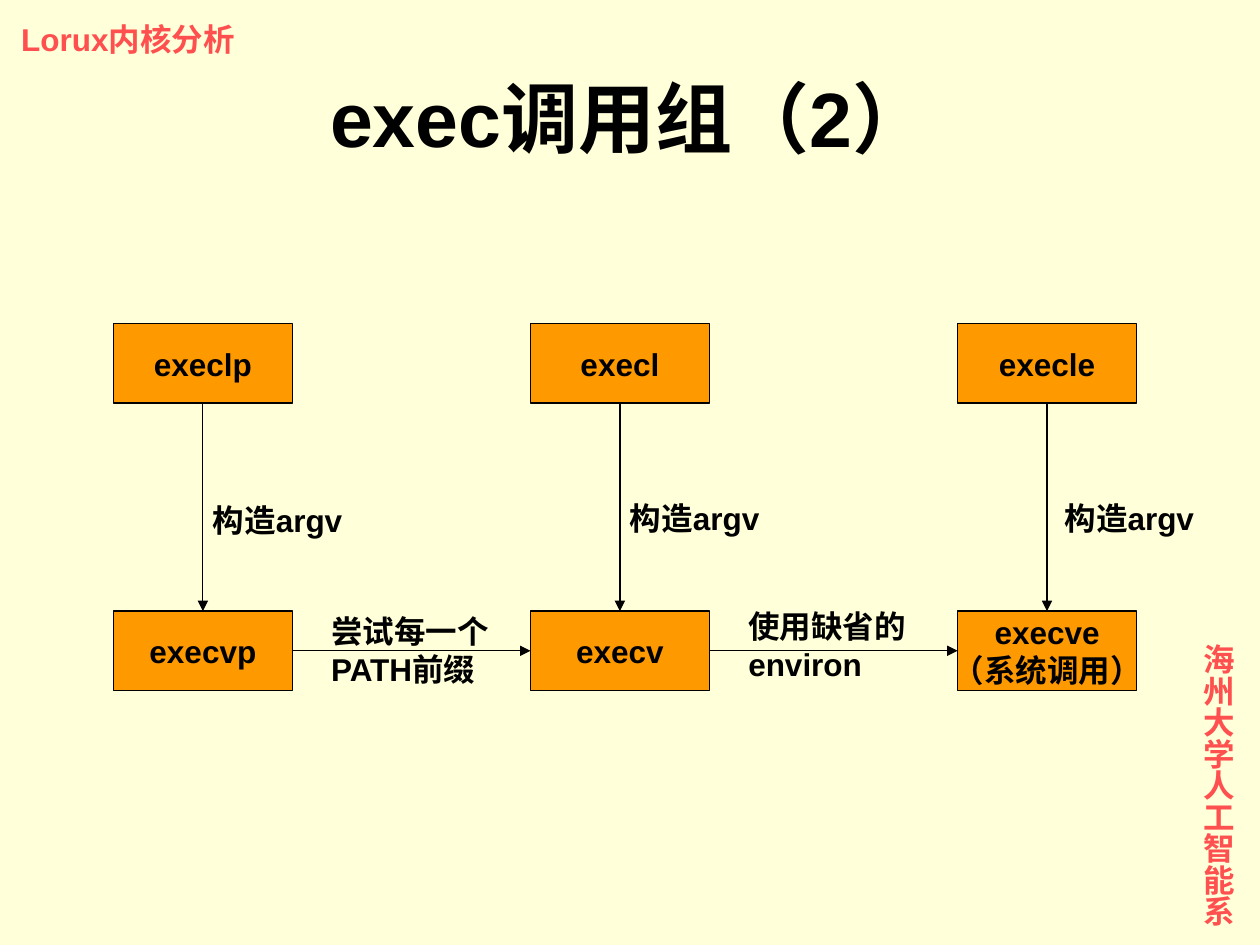
from dataclasses import dataclass

from lxml.etree import SubElement
from pptx import Presentation
from pptx.dml.color import RGBColor as Rgb
from pptx.enum.shapes import MSO_CONNECTOR as Conn, MSO_SHAPE as Form
from pptx.enum.text import MSO_ANCHOR as Anchor, PP_ALIGN as Align
from pptx.oxml.ns import qn
from pptx.util import Inches, Pt

HUE = {"back": "FFFFD9", "box": "FF9900", "ink": "000000", "mark": "FF5050"}
FONT = "Arial"
COLS = (0.9, 4.21, 7.6)  # left edges of the box columns
ROWS = (2.57, 4.85)  # top edges of the box rows
WIDE, HIGH = 1.42, 0.63
TOP, LEFT, BOTTOM, RIGHT = range(4)


@dataclass
class Node:
    text: str
    col: int
    row: int


@dataclass
class Link:
    start: str
    end: str
    down: bool


@dataclass
class Label:
    text: str
    col: int  # column whose left edge the offset counts from
    dx: float
    top: float
    wide: float
    high: float = 0.4
    hue: str = "ink"


NODES = (
    Node("execlp", 0, 0), Node("execl", 1, 0), Node("execle", 2, 0),
    Node("execvp", 0, 1), Node("execv", 1, 1), Node("execve\n（系统调用）", 2, 1),
)
LINKS = (
    Link("execlp", "execvp", True), Link("execl", "execv", True),
    Link("execle", "execve", True),
    Link("execvp", "execv", False), Link("execv", "execve", False),
)
LABELS = (
    Label("构造argv", 0, 0.69, 3.93, 1.29),
    Label("构造argv", 1, 0.69, 3.91, 1.29),
    Label("构造argv", 2, 0.75, 3.91, 1.29),
    Label("尝试每一个\nPATH前缀", 0, 1.63, 4.81, 1.45, 0.7),
    Label("使用缺省的\nenviron", 1, 1.63, 4.77, 1.45, 0.7),
)


def color(name: str) -> Rgb:
    return Rgb.from_string(HUE[name])


def write(shape, text: str, hue: str = "ink", size: int = 18, align=Align.LEFT) -> None:
    frame = shape.text_frame
    frame.text = text
    for par in frame.paragraphs:
        par.alignment = align
        for run in par.runs:
            font = run.font
            font.name, font.size, font.bold = FONT, Pt(size), True
            font.color.rgb = color(hue)


def add_text(slide, text: str, x: float, y: float, w: float, h: float, hue: str = "ink"):
    box = slide.shapes.add_textbox(Inches(x), Inches(y), Inches(w), Inches(h))
    box.text_frame.word_wrap = False
    write(box, text, hue)
    return box


def add_node(slide, node: Node):
    box = slide.shapes.add_shape(
        Form.RECTANGLE, Inches(COLS[node.col]), Inches(ROWS[node.row]),
        Inches(WIDE), Inches(HIGH))
    box.shadow.inherit = False
    box.fill.solid()
    box.fill.fore_color.rgb = color("box")
    box.line.color.rgb = color("ink")
    box.line.width = Pt(0.75)
    box.text_frame.word_wrap = False
    box.text_frame.vertical_anchor = Anchor.MIDDLE
    write(box, node.text, align=Align.CENTER)
    return box


def add_link(slide, link: Link, boxes: dict) -> None:
    line = slide.shapes.add_connector(Conn.STRAIGHT, 0, 0, 0, 0)
    line.begin_connect(boxes[link.start], BOTTOM if link.down else RIGHT)
    line.end_connect(boxes[link.end], TOP if link.down else LEFT)
    line.line.color.rgb = color("ink")
    line.line.width = Pt(0.75)
    SubElement(line.line._get_or_add_ln(), qn("a:tailEnd"), type="triangle")
    SubElement(line.element.spPr, qn("a:effectLst"))


def main() -> None:
    deck = Presentation()
    deck.slide_width, deck.slide_height = Inches(10), Inches(7.5)
    slide = deck.slides.add_slide(deck.slide_layouts[5])
    slide.background.fill.solid()
    slide.background.fill.fore_color.rgb = color("back")

    # Course name and vertical department name
    add_text(slide, "Lorux内核分析", 0.07, 0.11, 1.92, 0.4, "mark")
    side = add_text(slide, "海州大学人工智能系", 9.37, 5.01, 0.5, 2.35, "mark")
    frame = side.text_frame
    frame.margin_left = frame.margin_right = Inches(0.05)
    frame.margin_top = frame.margin_bottom = Inches(0.1)
    side.element.txBody.find(qn("a:bodyPr")).set("vert", "eaVert")

    # Title
    title = slide.shapes.title
    title.left, title.top = Inches(0.5), Inches(0.3)
    title.width, title.height = Inches(9), Inches(1.25)
    title.text_frame.vertical_anchor = Anchor.MIDDLE
    write(title, "exec调用组（2）", size=44, align=Align.CENTER)

    # Call diagram
    boxes = {node.text.split("\n")[0]: add_node(slide, node) for node in NODES}
    for link in LINKS:
        add_link(slide, link, boxes)
    for tag in LABELS:
        add_text(slide, tag.text, COLS[tag.col] + tag.dx, tag.top,
                 tag.wide, tag.high, tag.hue)

    deck.save("out.pptx")


if __name__ == "__main__":
    main()
